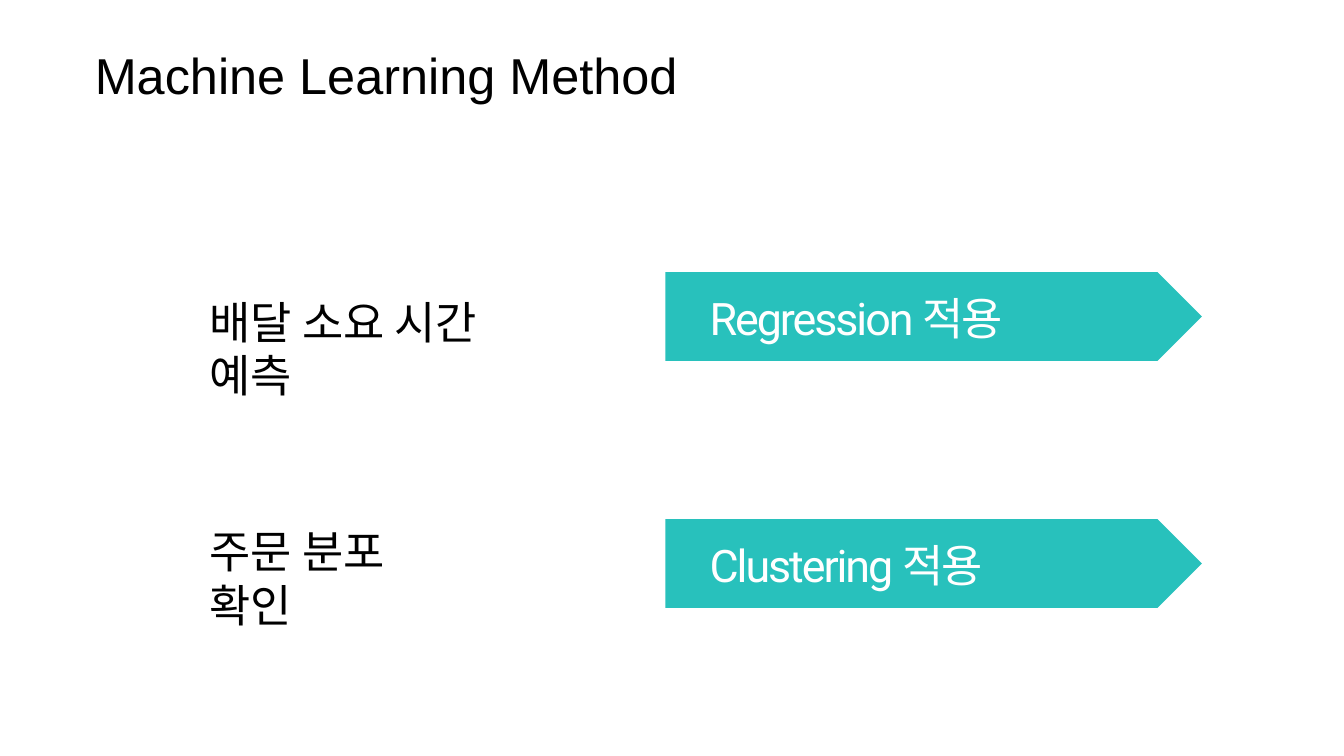
from pptx import Presentation
from pptx.dml.color import RGBColor
from pptx.enum.shapes import MSO_SHAPE as Shape
from pptx.enum.text import MSO_ANCHOR as Anchor, MSO_AUTO_SIZE as AutoSize, PP_ALIGN as Align
from pptx.util import Inches, Pt

TEAL, BLACK, WHITE = "28C1BC", "000000", "FFFFFF"
ROWS = [
    ("배달 소요 시간 예측", (1.98, 2.87, 3.46, 0.64), "Regression 적용", (6.6, 2.7, 5.32, 0.88)),
    ("주문 분포 확인", (1.98, 5.15, 2.63, 0.64), "Clustering 적용", (6.6, 5.15, 5.32, 0.88)),
]


def color(hex_code):
    """Turn a hex string into a colour."""
    return RGBColor.from_string(hex_code)


def write(frame, text, size, font, ink, line_spacing=1.0, tracking=0):
    """Write one left-aligned run into a wrapping text frame."""
    frame.word_wrap = True
    paragraph = frame.paragraphs[0]
    paragraph.alignment = Align.LEFT
    paragraph.line_spacing = line_spacing
    run = paragraph.add_run()
    run.text = text
    run.font.size, run.font.name = Pt(size), font
    run.font.color.rgb = color(ink)
    if tracking:
        run.font._element.set("spc", str(round(tracking * 100)))


def add_title(slide, box, text):
    """Place and format the slide title."""
    title = slide.shapes.title
    title.left, title.top, title.width, title.height = map(Inches, box)
    title.text_frame.vertical_anchor = Anchor.MIDDLE
    title.text_frame.auto_size = AutoSize.NONE
    write(title.text_frame, text, 36, "Arial", BLACK, 0.9)


def add_goal(slide, box, text):
    """Place the goal that a method serves."""
    goal = slide.shapes.add_textbox(*map(Inches, box))
    write(goal.text_frame, text, 32, "Roboto", BLACK)


def add_method(slide, box, text):
    """Place a method label on a teal pentagon."""
    left, top, width, height = box
    banner = slide.shapes.add_shape(Shape.PENTAGON, *map(Inches, box))
    banner.shadow.inherit = False
    banner.fill.solid()
    banner.fill.fore_color.rgb = color(TEAL)
    banner.line.fill.background()
    label_box = (left + 0.34, top + 0.11, width - 0.79, height - 0.21)
    label = slide.shapes.add_textbox(*map(Inches, label_box))
    write(label.text_frame, text, 32, "Roboto", WHITE, 1.05, -1.5)


def main():
    """Build and save the slide."""
    deck = Presentation()
    deck.slide_width, deck.slide_height = Inches(13.33), Inches(7.5)
    slide = deck.slides.add_slide(deck.slide_layouts[5])
    add_title(slide, (0.84, 0.19, 8.62, 1.17), "Machine Learning Method")
    for goal, goal_box, method, method_box in ROWS:
        add_goal(slide, goal_box, goal)
        add_method(slide, method_box, method)
    deck.save("out.pptx")


if __name__ == "__main__":
    main()
